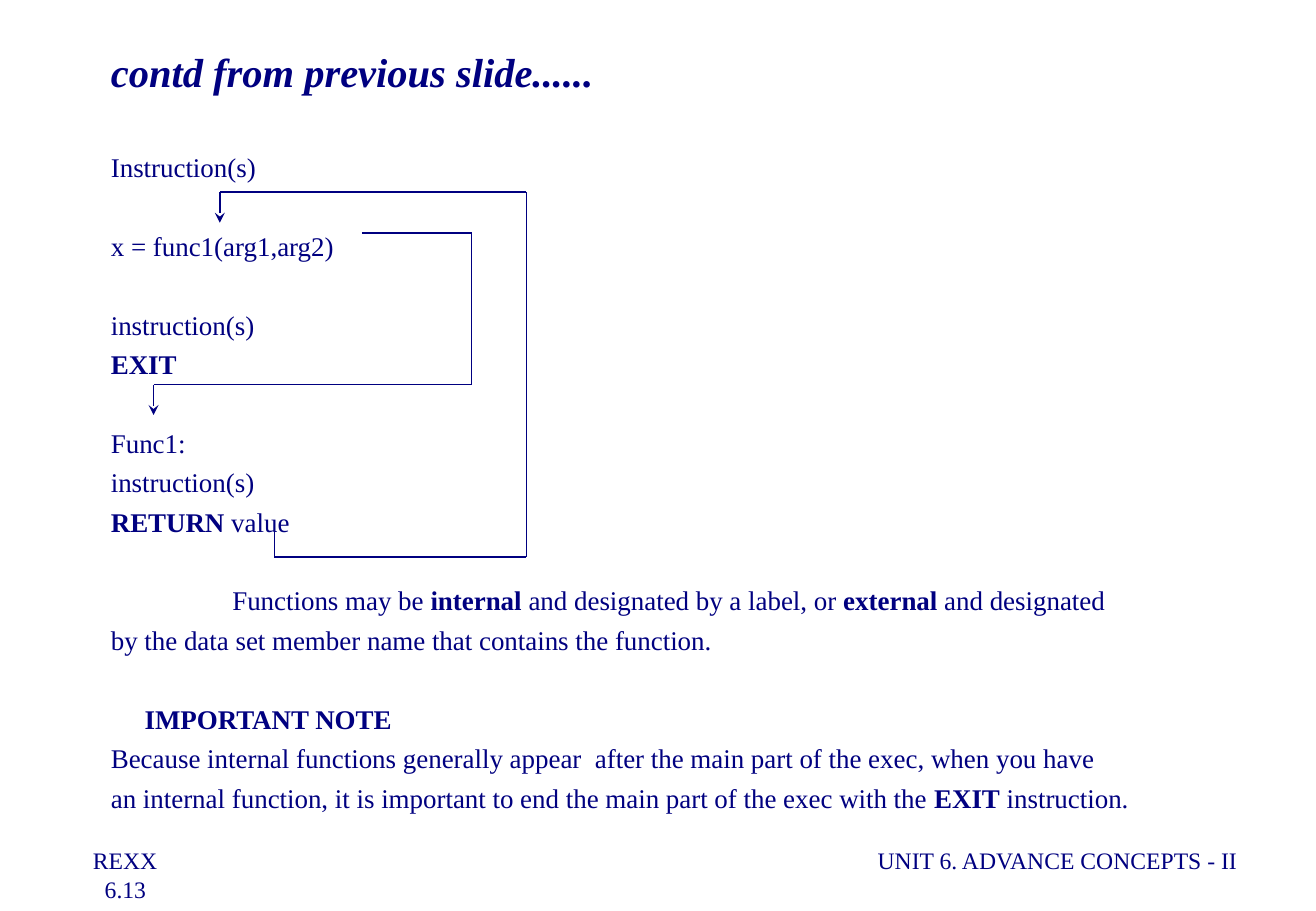
from itertools import pairwise

from lxml.etree import SubElement
from pptx import Presentation
from pptx.dml.color import RGBColor
from pptx.enum.shapes import MSO_CONNECTOR
from pptx.enum.text import MSO_ANCHOR, MSO_AUTO_SIZE, PP_ALIGN
from pptx.oxml.ns import qn
from pptx.util import Pt

COLORS = {"navy": "000080", "white": "FFFFFF"}
FONT = "Times New Roman"
LINE_GAP = 4.24
BLOCK_GAP = 27.42  # one empty line plus the usual gap

# Text between ** marks is bold; each entry is text, space before, first-line indent
BODY = [
    ("Instruction(s)", 0, 0),
    ("x = func1(arg1,arg2)", BLOCK_GAP, 0),
    ("instruction(s)", BLOCK_GAP, 0),
    ("**EXIT**", LINE_GAP, 0),
    ("Func1:", BLOCK_GAP, 0),
    ("instruction(s)", LINE_GAP, 0),
    ("**RETURN** value", LINE_GAP, 0),
    ("Functions may be **internal **and designated by a label, or** external** and designated",
     BLOCK_GAP, 72),
    ("by the data set member name that contains the function.", LINE_GAP, 0),
    ("**IMPORTANT NOTE**", BLOCK_GAP, 20),
    ("Because internal functions generally appear  after the main part of the exec, when you have",
     LINE_GAP, 0),
    ("an internal function, it is important to end the main part of the exec with the "
     "**EXIT** instruction.", LINE_GAP, 0),
]
CALL_ROUTE = [(214.5, 138), (279.5, 138), (279.5, 228), (91, 228), (91, 246)]
RETURN_ROUTE = [(162.7, 312), (162.7, 330), (312, 330), (312, 114), (130.3, 114), (130.3, 132)]


def write(paragraph, text, size=16, italic=False, before=0, indent=0, align=PP_ALIGN.LEFT):
    """Fill a paragraph, switching bold at each ** mark."""
    properties = paragraph._p.get_or_add_pPr()
    properties.set("marL", "0")
    properties.set("indent", str(Pt(indent)))
    SubElement(properties, qn("a:buNone"))
    paragraph.alignment = align
    paragraph.space_before = Pt(before)
    for index, part in enumerate(text.split("**")):
        if part:
            run = paragraph.add_run()
            run.text = part
            run.font.name = FONT
            run.font.size = Pt(size)
            run.font.bold = index % 2 == 1
            run.font.italic = italic
            run.font.color.rgb = RGBColor.from_string(COLORS["navy"])


class SlideBuilder:
    def __init__(self, slide):
        self.slide = slide
        fill = slide.background.fill
        fill.solid()
        fill.fore_color.rgb = RGBColor.from_string(COLORS["white"])

    def text(self, shape, box, entries):
        shape.left, shape.top, shape.width, shape.height = map(Pt, box)
        frame = shape.text_frame
        frame.word_wrap = True
        frame.auto_size = MSO_AUTO_SIZE.NONE
        frame.vertical_anchor = MSO_ANCHOR.TOP
        frame.margin_left = frame.margin_right = Pt(7.2)
        frame.margin_top = frame.margin_bottom = Pt(3.6)
        for index, (text, style) in enumerate(entries):
            paragraph = frame.add_paragraph() if index else frame.paragraphs[0]
            write(paragraph, text, **style)

    def text_box(self, box, entries):
        self.text(self.slide.shapes.add_textbox(*map(Pt, box)), box, entries)

    def route(self, points):
        """Draw straight segments through the points, with an arrow at the end."""
        for start, end in pairwise(points):
            connector = self.slide.shapes.add_connector(
                MSO_CONNECTOR.STRAIGHT, *map(Pt, start + end))
            connector.line.width = Pt(1)
            connector.line.color.rgb = RGBColor.from_string(COLORS["navy"])
            SubElement(connector._element.spPr, qn("a:effectLst"))
        SubElement(connector.line._get_or_add_ln(), qn("a:tailEnd"), type="stealth")


def main():
    presentation = Presentation()
    presentation.slide_width, presentation.slide_height = Pt(780), Pt(540)
    slide = presentation.slides.add_slide(presentation.slide_layouts[1])
    builder = SlideBuilder(slide)

    # Title and body
    builder.text(slide.shapes.title, (58.5, 24, 662, 40),
                 [("**contd from previous slide......**", {"size": 24, "italic": True})])
    builder.text(slide.placeholders[1], (58.5, 85.8, 662, 400),
                 [(text, {"before": before, "indent": indent}) for text, before, indent in BODY])

    # Call and return paths
    builder.route(RETURN_ROUTE)
    builder.route(CALL_ROUTE)

    # Footer
    builder.text_box((48, 498, 100, 42), [
        ("REXX", {"size": 14}),
        ("6.13", {"size": 14, "indent": 7}),
    ])
    builder.text_box((440, 498, 300.5, 25), [
        ("UNIT 6. ADVANCE CONCEPTS - II", {"size": 14, "align": PP_ALIGN.RIGHT}),
    ])
    presentation.save("out.pptx")


if __name__ == "__main__":
    main()
